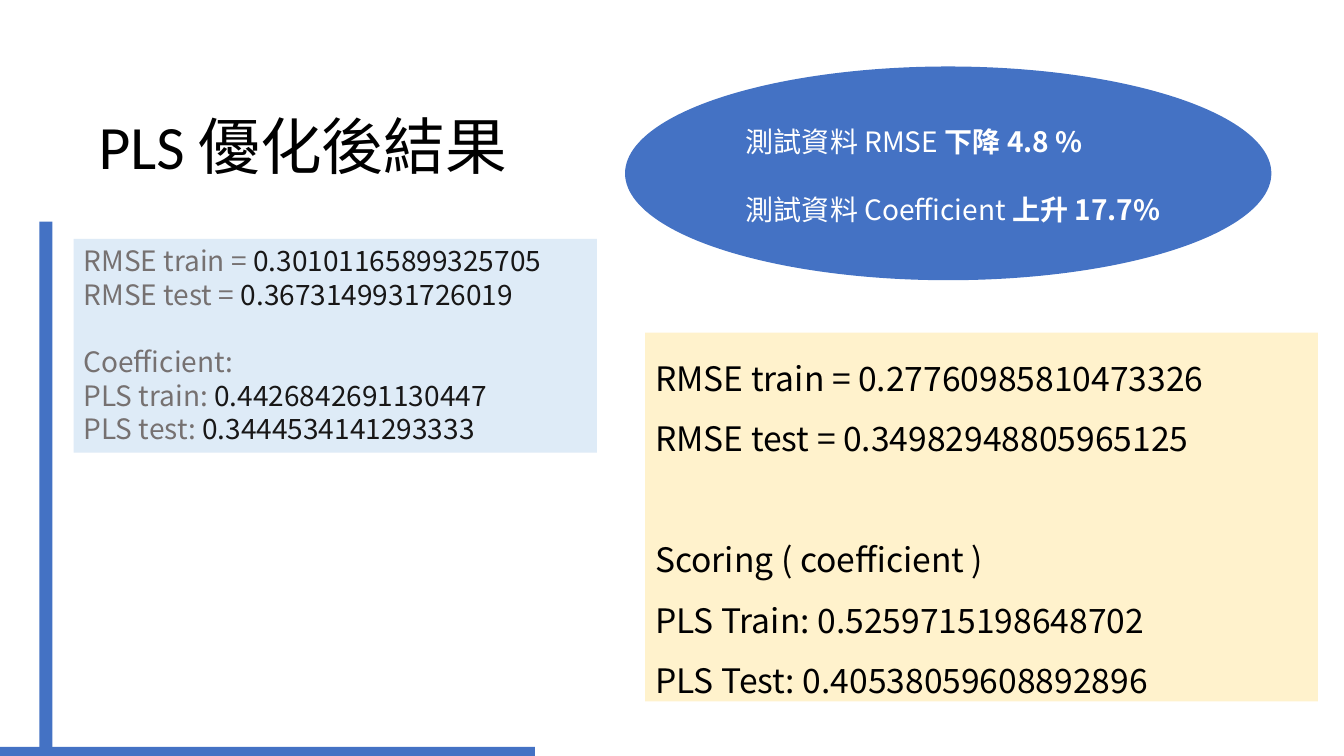
import pptx
import pptx.util
import pptx.dml.color
import pptx.enum.shapes
import pptx.enum.text
import pptx.oxml.ns
from lxml import etree

SHAPE = pptx.enum.shapes.MSO_SHAPE
ANCHOR = pptx.enum.text.MSO_ANCHOR

# Theme
THEME = {
    "accent": "4472C4", "after": "FFF2CC", "before": "DEEBF7",
    "ink": "000000", "label": "767171", "value": "181717", "light": "FFFFFF",
    "title": 44, "result": 24, "body": 20,
    "latin": "Calibri", "cjk": "Noto Sans CJK SC",
}

# Content: groups of lines, each line a list of (text, colour, bold)
TITLE = [[[("PLS 優化後結果", "ink", False)]]]
AFTER = [
    [[(line, "ink", False)] for line in group]
    for group in (
        ("RMSE train = 0.27760985810473326", "RMSE test = 0.34982948805965125"),
        ("Scoring ( coefficient )", "PLS Train: 0.5259715198648702",
         "PLS Test: 0.40538059608892896"),
    )
]
BEFORE = [
    [[("RMSE train = ", "label", False), ("0.30101165899325705", "value", False)],
     [("RMSE test = ", "label", False), ("0.3673149931726019", "value", False)]],
    [[("Coefficient:", "label", False)],
     [("PLS train: ", "label", False), ("0.4426842691130447", "value", False)],
     [("PLS test: ", "label", False), ("0.3444534141293333", "value", False)]],
]
CHANGE = [
    [[("測試資料 RMSE ", "light", False), ("下降 4.8 %", "light", True)]],
    [[("測試資料 Coefficient ", "light", False), ("上升 17.7%", "light", True)]],
]

# Parts, back to front: shape, fill, box in percent of the slide, text, format
RESULT = {"size": "result", "font": "cjk", "spacing": 1.5}
BODY = {"size": "body", "font": "cjk", "spacing": 1.0}
HEADING = {"size": "title", "font": "latin", "spacing": 0.9, "anchor": ANCHOR.MIDDLE}
PARTS = [
    (SHAPE.RECTANGLE, "after", (48.01, 44, 50.04, 48.8), AFTER, RESULT),
    (SHAPE.RECTANGLE, "accent", (2.93, 29.33, 0.98, 70.67), None, None),
    (SHAPE.RECTANGLE, "accent", (0, 98.8, 39.8, 1.2), None, None),
    (None, None, (6.6, 14.13, 36.68, 11.33), TITLE, HEADING),
    (SHAPE.RECTANGLE, "before", (5.48, 31.6, 38.93, 28.27), BEFORE, BODY),
    (SHAPE.OVAL, "accent", (46.51, 8.8, 48.09, 28.27), None, None),
    (None, None, (54.76, 15.87, 36.53, 14.8), CHANGE, BODY),
]


def rgb(name):
    return pptx.dml.color.RGBColor.from_string(THEME[name])


def write(sp, groups, form):
    tf = sp.text_frame
    tf.word_wrap = True
    tf.vertical_anchor = form.get("anchor", ANCHOR.TOP)
    size = THEME[form["size"]]
    lines = [(g > 0 and i == 0, line)
             for g, group in enumerate(groups) for i, line in enumerate(group)]
    for n, (opens_group, line) in enumerate(lines):
        p = tf.paragraphs[0] if n == 0 else tf.add_paragraph()
        # One line of space sets the groups apart
        gap = 1.2 * size * form["spacing"] if opens_group else 0
        settings = {"alignment": pptx.enum.text.PP_ALIGN.LEFT,
                    "line_spacing": form["spacing"],
                    "space_before": pptx.util.Pt(gap)}
        for key, value in settings.items():
            setattr(p, key, value)
        for text, colour, bold in line:
            r = p.add_run()
            r.text = text
            font = {"name": THEME[form["font"]], "size": pptx.util.Pt(size), "bold": bold}
            for key, value in font.items():
                setattr(r.font, key, value)
            r.font.color.rgb = rgb(colour)
            ea = etree.SubElement(r.font._element, pptx.oxml.ns.qn("a:ea"))
            ea.set("typeface", THEME["cjk"])


def main():
    prs = pptx.Presentation()
    prs.slide_width = pptx.util.Inches(13.33)
    prs.slide_height = pptx.util.Inches(7.5)
    s = prs.slides.add_slide(prs.slide_layouts[6])
    sides = (prs.slide_width, prs.slide_height) * 2

    for kind, fill, shares, groups, form in PARTS:
        box = [int(side * share / 100) for side, share in zip(sides, shares)]
        if kind is None:
            sp = s.shapes.add_textbox(*box)
        else:
            sp = s.shapes.add_shape(kind, *box)
            sp.shadow.inherit = False
            sp.fill.solid()
            sp.fill.fore_color.rgb = rgb(fill)
            sp.line.fill.background()
        if groups:
            write(sp, groups, form)

    prs.save("out.pptx")


if __name__ == "__main__":
    main()
